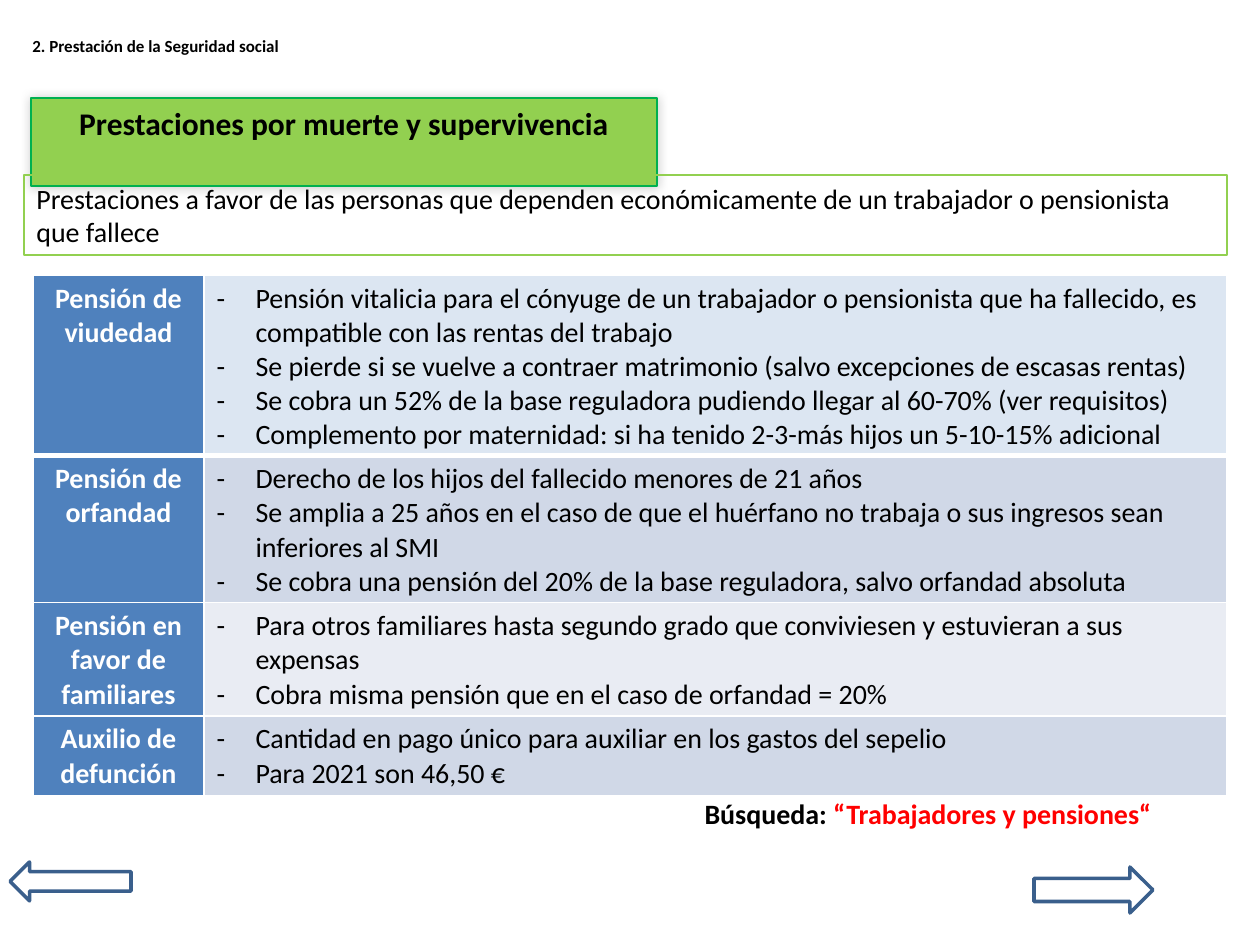
from dataclasses import dataclass

from lxml.etree import SubElement
from pptx import Presentation
from pptx.dml.color import RGBColor
from pptx.enum.shapes import MSO_SHAPE as Shape
from pptx.enum.text import MSO_ANCHOR as Anchor, MSO_AUTO_SIZE as AutoSize, PP_ALIGN as Align
from pptx.oxml.ns import qn
from pptx.util import Pt

SCALE = 914400 / 126


@dataclass(frozen=True)
class Theme:
    """Colours and type sizes of the deck."""
    font: str = "Calibri"
    ink: str = "000000"
    white: str = "FFFFFF"
    accent: str = "FF0000"
    lime: str = "92D050"
    green: str = "00B050"
    navy: str = "3A5F8C"
    label: str = "4F81BD"
    bands: tuple = ("DCE6F2", "D0D8E7", "E9ECF3", "D0D8E7")
    heading: float = 9.7
    body: float = 16
    banner: float = 18


THEME = Theme()

BENEFITS = [
    ("Pensión de viudedad", [
        "Pensión vitalicia para el cónyuge de un trabajador o pensionista que ha fallecido, "
        "es compatible con las rentas del trabajo",
        "Se pierde si se vuelve a contraer matrimonio (salvo excepciones de escasas rentas)",
        "Se cobra un 52% de la base reguladora pudiendo llegar al 60-70% (ver requisitos)",
        "Complemento por maternidad: si ha tenido 2-3-más hijos un 5-10-15% adicional"]),
    ("Pensión de orfandad", [
        "Derecho de los hijos del fallecido menores de 21 años",
        "Se amplia a 25 años en el caso de que el huérfano no trabaja o sus ingresos sean "
        "inferiores al SMI",
        "Se cobra una pensión del 20% de la base reguladora, salvo orfandad absoluta"]),
    ("Pensión en favor de familiares", [
        "Para otros familiares hasta segundo grado que conviviesen y estuvieran a sus expensas",
        "Cobra misma pensión que en el caso de orfandad = 20%"]),
    ("Auxilio de defunción", [
        "Cantidad en pago único para auxiliar en los gastos del sepelio",
        "Para 2021 son 46,50 €"]),
]


def px(length):
    """Turn pixels into EMU."""
    return round(length * SCALE)


def rgb(color):
    """Turn a hex string into a colour."""
    return RGBColor.from_string(color)


def set_all(target, values):
    """Set each named attribute on the target."""
    for name, value in values.items():
        setattr(target, name, value)


def write(para, text, size, color=THEME.ink, bold=False, align=Align.LEFT):
    """Add one formatted span to a paragraph."""
    para.alignment = align
    span = para.add_run()
    span.text = text
    set_all(span.font, dict(name=THEME.font, size=Pt(size), bold=bold))
    span.font.color.rgb = rgb(color)


def add_box(page, box, kind=None, fill=None, line=None, width=0.75, **frame):
    """Add a text box or a preset shape and return it."""
    place = [px(side) for side in box]
    if kind is None:
        shape = page.shapes.add_textbox(*place)
    else:
        shape = page.shapes.add_shape(kind, *place)
        shape.shadow.inherit = False
        if fill:
            shape.fill.solid()
            shape.fill.fore_color.rgb = rgb(fill)
        else:
            shape.fill.background()
        shape.line.color.rgb = rgb(line)
        shape.line.width = Pt(width)
    set_all(shape.text_frame, dict(word_wrap=True, vertical_anchor=Anchor.TOP) | frame)
    return shape


def add_heading(page, box):
    """Place the section heading."""
    shape = add_box(page, box, vertical_anchor=Anchor.MIDDLE)
    write(shape.text_frame.paragraphs[0], "2. Prestación de la Seguridad social",
          THEME.heading, bold=True)


def add_arrow(page, box, kind):
    """Place one outlined navigation arrow."""
    add_box(page, box, kind, line=THEME.navy, width=2)


def add_banner(page, box):
    """Place the green title banner with its soft shadow."""
    shape = add_box(page, box, Shape.RECTANGLE, THEME.lime, THEME.green)
    write(shape.text_frame.paragraphs[0], "Prestaciones por muerte y supervivencia",
          THEME.banner, bold=True, align=Align.CENTER)
    effects = shape.fill._xPr.find(qn("a:effectLst"))
    shadow = SubElement(effects, qn("a:outerShdw"), blurRad=str(Pt(6)), dist="0", dir="0")
    color = SubElement(shadow, qn("a:srgbClr"), val=THEME.ink)
    SubElement(color, qn("a:alpha"), val="20000")


def add_definition(page, box):
    """Place the outlined definition."""
    shape = add_box(page, box, Shape.RECTANGLE, line=THEME.lime)
    write(shape.text_frame.paragraphs[0],
          "Prestaciones a favor de las personas que dependen económicamente de un "
          "trabajador o pensionista que fallece", THEME.body)


def add_search(page, box):
    """Place the search hint in two colours."""
    shape = add_box(page, box, word_wrap=False, auto_size=AutoSize.SHAPE_TO_FIT_TEXT)
    para = shape.text_frame.paragraphs[0]
    for text, color in (("Búsqueda: ", THEME.ink), ("“Trabajadores y pensiones“", THEME.accent)):
        write(para, text, THEME.body, color, True, Align.CENTER)


def add_dash(para):
    """Give a paragraph a hanging dash bullet."""
    props = para._p.get_or_add_pPr()
    props.set("marL", str(px(39)))
    props.set("indent", str(-px(39)))
    color = SubElement(props, qn("a:buClr"))
    SubElement(color, qn("a:srgbClr"), val=THEME.ink)
    SubElement(props, qn("a:buFont"), typeface=THEME.font)
    SubElement(props, qn("a:buChar"), char="-")


def style_cell(cell, fill, bottom):
    """Give a cell white borders and a solid fill."""
    props = cell._tc.get_or_add_tcPr()
    for side, width in (("L", 0.96), ("R", 0.96), ("T", 0.96), ("B", bottom)):
        line = SubElement(props, qn(f"a:ln{side}"), w=str(Pt(width)))
        solid = SubElement(line, qn("a:solidFill"))
        SubElement(solid, qn("a:srgbClr"), val=THEME.white)
    cell.fill.solid()
    cell.fill.fore_color.rgb = rgb(fill)


def add_benefits(page, box, label_width):
    """Place the table of benefits; rows grow with their text."""
    width = box[2]
    table = page.shapes.add_table(len(BENEFITS), 2, *[px(side) for side in box]).table
    for column, size in zip(table.columns, (label_width, width - label_width)):
        column.width = px(size)
    for index, (name, points) in enumerate(BENEFITS):
        label, detail = table.rows[index].cells
        bottom = 3 if index == 0 else 0.96
        style_cell(label, THEME.label, bottom)
        style_cell(detail, THEME.bands[index], bottom)
        write(label.text_frame.paragraphs[0], name, THEME.body, THEME.white, True, Align.CENTER)
        for number, point in enumerate(points):
            frame = detail.text_frame
            para = frame.add_paragraph() if number else frame.paragraphs[0]
            write(para, point, THEME.body)
            add_dash(para)


def build_benefits_page(deck):
    """Build the page on death and survivor benefits."""
    page = deck.slides.add_slide(deck.slide_layouts[6])
    add_heading(page, (20, 6, 1187, 80))
    add_arrow(page, (10, 862, 121, 39), Shape.LEFT_ARROW)
    add_arrow(page, (1034, 867, 119, 46), Shape.RIGHT_ARROW)
    add_banner(page, (31, 98, 626, 88))
    add_search(page, (609, 790, 638, 46))
    add_definition(page, (24, 175, 1203, 80))
    add_benefits(page, (33, 275, 1194, 204), 171)


deck = Presentation()
set_all(deck, dict(slide_width=px(1260), slide_height=px(945)))
build_benefits_page(deck)
deck.save("out.pptx")
